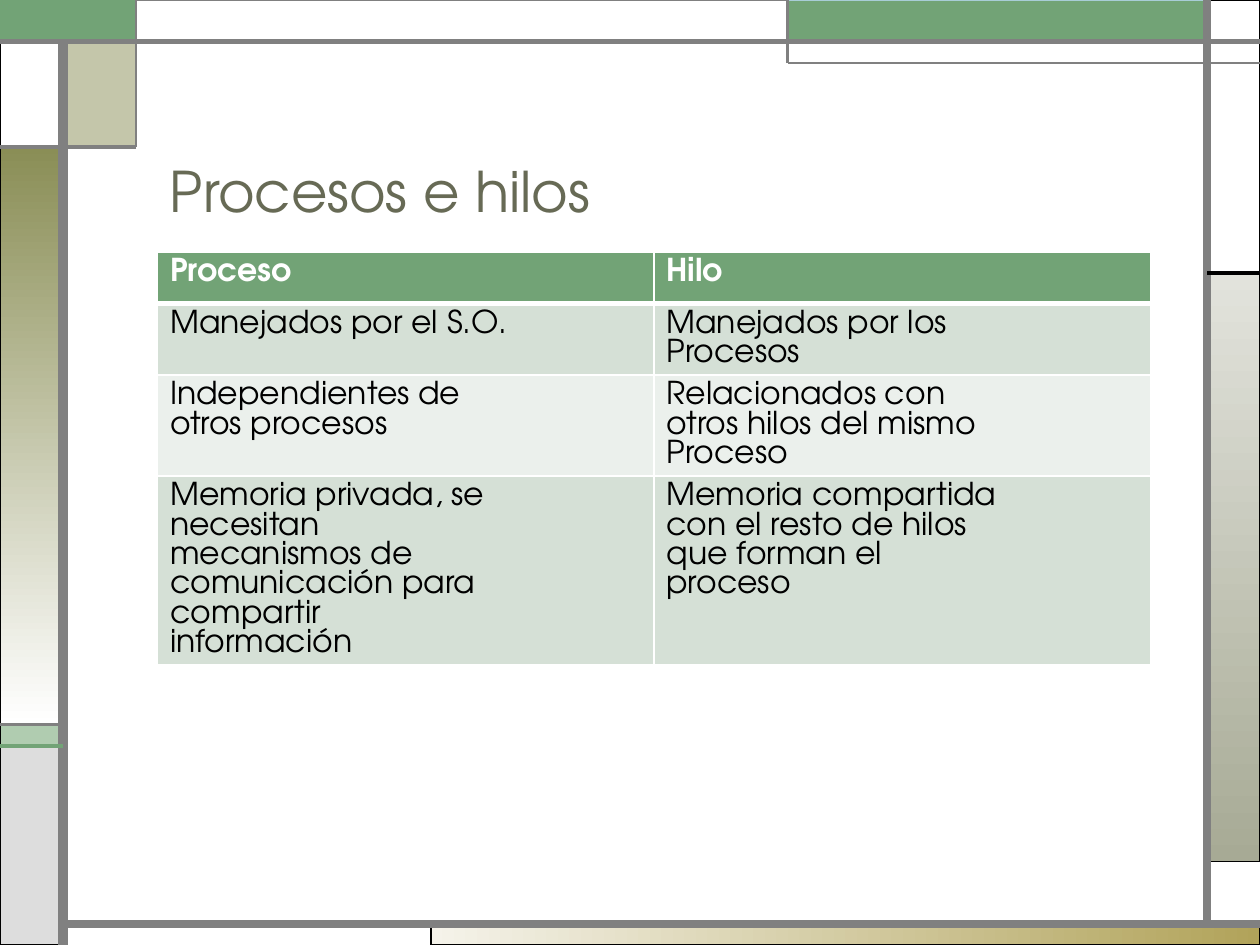
from lxml.etree import SubElement
from pptx import Presentation
from pptx.dml.color import RGBColor
from pptx.enum.shapes import MSO_CONNECTOR, MSO_SHAPE
from pptx.enum.text import MSO_ANCHOR
from pptx.oxml.ns import qn
from pptx.util import Inches, Pt

FONT = "TeX Gyre Adventor"
WHITE = RGBColor(0xFF, 0xFF, 0xFF)
BLACK = RGBColor(0, 0, 0)
GRAY = RGBColor(0x80, 0x80, 0x80)
SILVER = RGBColor(0xDD, 0xDD, 0xDD)
GREEN = RGBColor(0x72, 0xA3, 0x76)
MINT = RGBColor(0xB0, 0xCC, 0xB0)
SKY = RGBColor(0xA8, 0xCD, 0xD7)
OLIVE = RGBColor(0x8A, 0x8E, 0x56)
CREAM = RGBColor(0xF5, 0xF3, 0xEA)
GOLD = RGBColor(0xB1, 0xA3, 0x5A)
MIST = RGBColor(0xE2, 0xE3, 0xDC)
SAGE = RGBColor(0xA7, 0xAA, 0x95)
TITLE_COLOR = RGBColor(0x67, 0x6A, 0x55)
BANDS = [RGBColor(0xD5, 0xE0, 0xD6), RGBColor(0xEB, 0xF0, 0xEC)]

TITLE = "Procesos e hilos"
ROWS = [
    (["Proceso"], ["Hilo"]),
    (["Manejados por el S.O."], ["Manejados por los", "Procesos"]),
    (["Independientes de", "otros procesos"],
     ["Relacionados con", "otros hilos del mismo", "Proceso"]),
    (["Memoria privada, se", "necesitan", "mecanismos de",
      "comunicación para", "compartir", "información"],
     ["Memoria compartida", "con el resto de hilos", "que forman el", "proceso"]),
]
PANELS = [
    (3.42, 7.33, 6.58, 0.17, (CREAM, GOLD, 0), BLACK, 0.75),
    (9.58, 2.17, 0.42, 4.67, (MIST, SAGE, 270), BLACK, 0.75),
    (0, 5.75, 0.5, 0.17, MINT, BLACK, 0.75),
    (0, 5.92, 0.5, 1.58, SILVER, BLACK, 0.75),
    (9.58, 0, 0.42, 2.17, WHITE, BLACK, 0.75),
    (6.25, 0, 3.33, 0.33, GREEN, SKY, 0.75),
    (0.5, 0.33, 0.58, 0.83, OLIVE, BLACK, 0.75),
    (0, 1.17, 0.5, 4.58, (OLIVE, WHITE, 270), BLACK, 0.75),
    (0, 0.33, 0.5, 0.83, WHITE, BLACK, 0.75),
    (0, 0, 1.08, 0.33, GREEN, GREEN, 1.5),
    (1.08, 0, 5.17, 0.33, WHITE, GRAY, 0.75),
]
TRANSLUCENT = {OLIVE: 50}
LINES = [
    (0.5, 7.5, 0.5, 0.33, GRAY, 6),
    (0.5, 7.33, 10, 7.33, GRAY, 4.5),
    (9.58, 7.33, 9.58, 0, GRAY, 4.5),
    (0, 0.33, 10, 0.33, GRAY, 3),
    (10, 0.5, 6.25, 0.5, GRAY, 1.5),
    (6.25, 0.5, 6.25, 0, GRAY, 1.5),
    (9.58, 2.17, 10, 2.17, BLACK, 2.25),
    (1.08, 0, 1.08, 1.17, GRAY, 1.5),
    (1.08, 1.17, 0, 1.17, GRAY, 2.25),
    (0.5, 5.75, 0, 5.75, GRAY, 2.25),
    (0.5, 5.92, 0, 5.92, GREEN, 2.25),
]


def add_panel(s, x, y, w, h, fill, line, width):
    sp = s.shapes.add_shape(MSO_SHAPE.RECTANGLE, *map(Inches, (x, y, w, h)))
    sp.shadow.inherit = False
    sp.line.color.rgb = line
    sp.line.width = Pt(width)
    if isinstance(fill, tuple) and not isinstance(fill, RGBColor):
        sp.fill.gradient()
        sp.fill.gradient_angle = fill[2]
        for stop, color, position in zip(sp.fill.gradient_stops, fill, (0, 1)):
            stop.color.rgb = color
            stop.position = position
        return
    sp.fill.solid()
    sp.fill.fore_color.rgb = fill
    if fill in TRANSLUCENT:
        clr = sp._element.spPr.find(qn("a:solidFill"))[0]
        SubElement(clr, qn("a:alpha"), val=str(TRANSLUCENT[fill] * 1000))


def add_line(s, x1, y1, x2, y2, color, width):
    cxn = s.shapes.add_connector(MSO_CONNECTOR.STRAIGHT, *map(Inches, (x1, y1, x2, y2)))
    cxn.line.color.rgb = color
    cxn.line.width = Pt(width)
    SubElement(cxn._element.spPr, qn("a:effectLst"))


def set_borders(cell, bottom):
    tcPr = cell._tc.get_or_add_tcPr()
    for i, (side, width) in enumerate((("L", 1), ("R", 1), ("T", 1), ("B", bottom))):
        ln = tcPr.makeelement(qn(f"a:ln{side}"), {"w": str(Pt(width))})
        fill = SubElement(ln, qn("a:solidFill"))
        SubElement(fill, qn("a:srgbClr"), val=str(WHITE))
        tcPr.insert(i, ln)


def write(tf, lines, size, color, bold=False, spacing=None):
    tf.text = "\n".join(lines)
    for p in tf.paragraphs:
        p.font.name = FONT
        p.font.size = Pt(size)
        p.font.bold = bold
        p.font.color.rgb = color
        p.line_spacing = spacing


def add_comparison(s):
    frame = s.shapes.add_table(len(ROWS), 2, Inches(1.25), Inches(2), Inches(7.88), Inches(1.64))
    for r, row in enumerate(ROWS):
        header = r == 0
        for c, lines in enumerate(row):
            cell = frame.table.cell(r, c)
            cell.fill.solid()
            cell.fill.fore_color.rgb = GREEN if header else BANDS[(r - 1) % 2]
            set_borders(cell, 3 if header else 1)
            write(cell.text_frame, lines, 18, WHITE if header else BLACK, header)


def add_title(s):
    tb = s.shapes.add_textbox(Inches(1.25), Inches(0.58), Inches(7.88), Inches(1.25))
    tf = tb.text_frame
    tf.word_wrap = True
    tf.vertical_anchor = MSO_ANCHOR.BOTTOM
    write(tf, [TITLE], 32, TITLE_COLOR, spacing=0.9)


prs = Presentation()
prs.slide_width, prs.slide_height = Inches(10), Inches(7.5)
s = prs.slides.add_slide(prs.slide_layouts[6])
for panel in PANELS:
    add_panel(s, *panel)
for line in LINES:
    add_line(s, *line)
add_comparison(s)
add_title(s)
prs.save("out.pptx")
